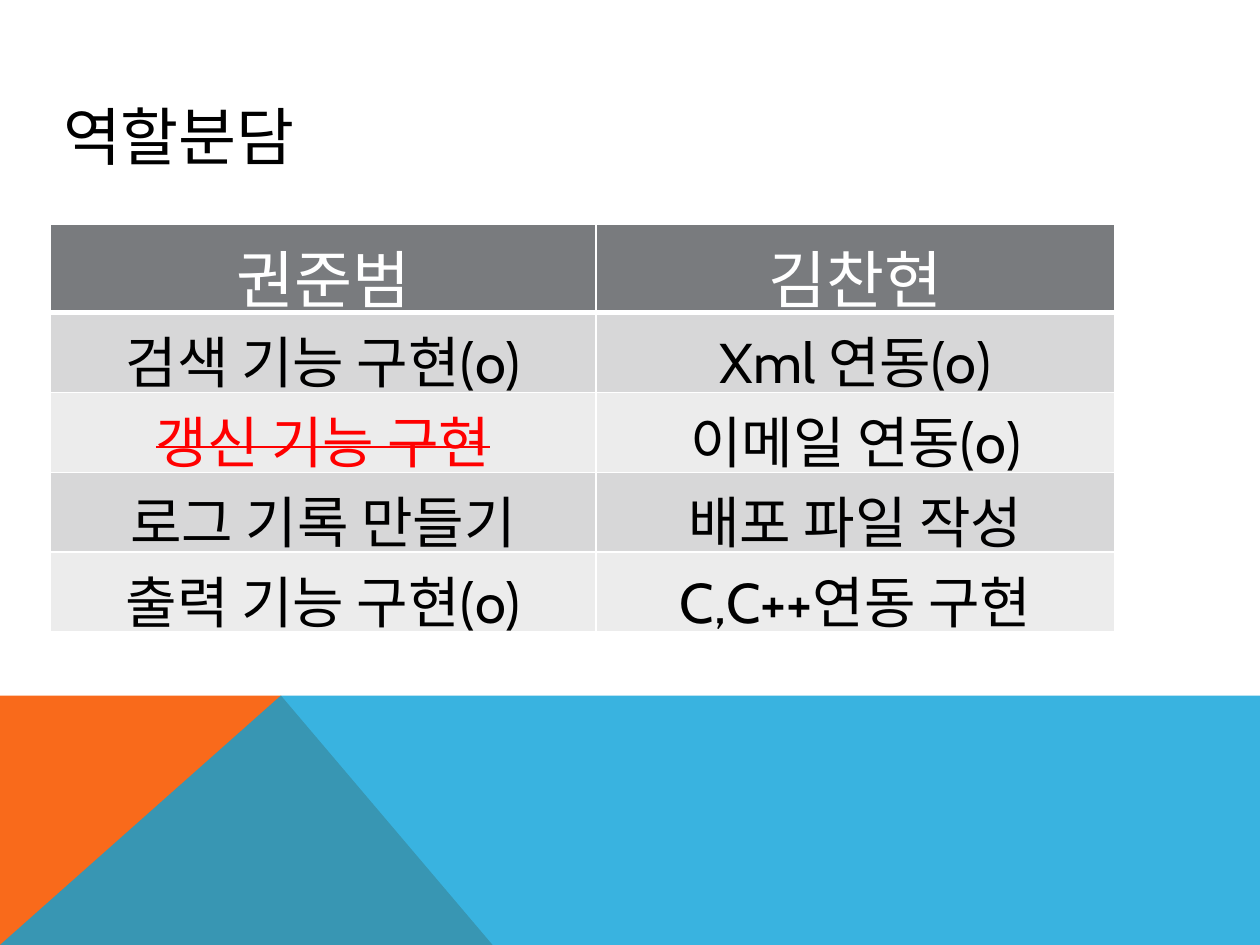
from lxml import etree
from pptx import Presentation
from pptx.dml.color import RGBColor
from pptx.enum.text import MSO_ANCHOR, MSO_AUTO_SIZE, PP_ALIGN
from pptx.oxml.ns import qn
from pptx.util import Inches, Pt


def write(frame, text, size, color="000000", align=PP_ALIGN.LEFT, strike=False):
    para = frame.paragraphs[0]
    para.alignment = align
    span = para.add_run()
    span.text = text
    span.font.name = "Cabin"
    span.font.size = Pt(size)
    span.font.color.rgb = RGBColor.from_string(color)
    if strike:
        span.font._element.set("strike", "sngStrike")


def set_border(cell, side, width, color="FFFFFF"):
    line = etree.SubElement(cell._tc.get_or_add_tcPr(), qn(f"a:ln{side}"), w=str(Pt(width)))
    fill = etree.SubElement(line, qn("a:solidFill"))
    etree.SubElement(fill, qn("a:srgbClr"), val=color)


deck = Presentation()
deck.slide_width, deck.slide_height = Inches(10), Inches(7.5)
page = deck.slides.add_slide(deck.slide_layouts[5])

# Coloured band along the bottom: an orange wedge under a translucent blue one
bands = [
    ("F96A1B", 100, [(0, 7.5), (0, 5.52), (2.23, 5.52), (3.91, 7.5)]),
    ("08A1D9", 80, [(0, 7.5), (2.23, 5.52), (10, 5.52), (10, 7.5)]),
]
for color, opacity, corners in bands:
    points = [(Inches(x), Inches(y)) for x, y in corners]
    builder = page.shapes.build_freeform(*points[0])
    builder.add_line_segments(points[1:], close=True)
    band = builder.convert_to_shape()
    band.shadow.inherit = False
    band.line.fill.background()
    band.fill.solid()
    band.fill.fore_color.rgb = RGBColor.from_string(color)
    if opacity < 100:
        tint = band._element.spPr.find(f"{qn('a:solidFill')}/{qn('a:srgbClr')}")
        etree.SubElement(tint, qn("a:alpha"), val=str(opacity * 1000))

# Table of duties, one column per person
duties = [
    ("권준범", "김찬현"),
    ("검색 기능 구현(o)", "Xml 연동(o)"),
    ("갱신 기능 구현", "이메일 연동(o)"),
    ("로그 기록 만들기", "배포 파일 작성"),
    ("출력 기능 구현(o)", "C,C++연동 구현"),
]
dropped = "갱신 기능 구현"
table = page.shapes.add_table(
    len(duties), 2, Inches(0.4), Inches(1.78), Inches(8.45), Inches(3.23)
).table
table.columns[0].width = Inches(4.33)
table.columns[1].width = Inches(4.12)
for row, texts in enumerate(duties):
    header = row == 0
    table.rows[row].height = Inches(0.69 if header else 0.63)
    for column, text in enumerate(texts):
        cell = table.cell(row, column)
        for side in "LRTB":
            set_border(cell, side, 3 if header and side == "B" else 1)
        cell.fill.solid()
        shade = "797B7E" if header else ("ECECEC", "D7D7D8")[row % 2]
        cell.fill.fore_color.rgb = RGBColor.from_string(shade)
        color = "FFFFFF" if header else "FF0000" if text == dropped else "000000"
        write(cell.text_frame, text, 36 if header else 32, color=color,
              align=PP_ALIGN.CENTER, strike=text == dropped)

title = page.shapes.title
title.left, title.top = Inches(0.4), Inches(0.72)
title.width, title.height = Inches(4.49), Inches(0.71)
title.text_frame.word_wrap = True
title.text_frame.vertical_anchor = MSO_ANCHOR.TOP
title.text_frame.auto_size = MSO_AUTO_SIZE.SHAPE_TO_FIT_TEXT
write(title.text_frame, "역할분담", 36)

deck.save("out.pptx")
